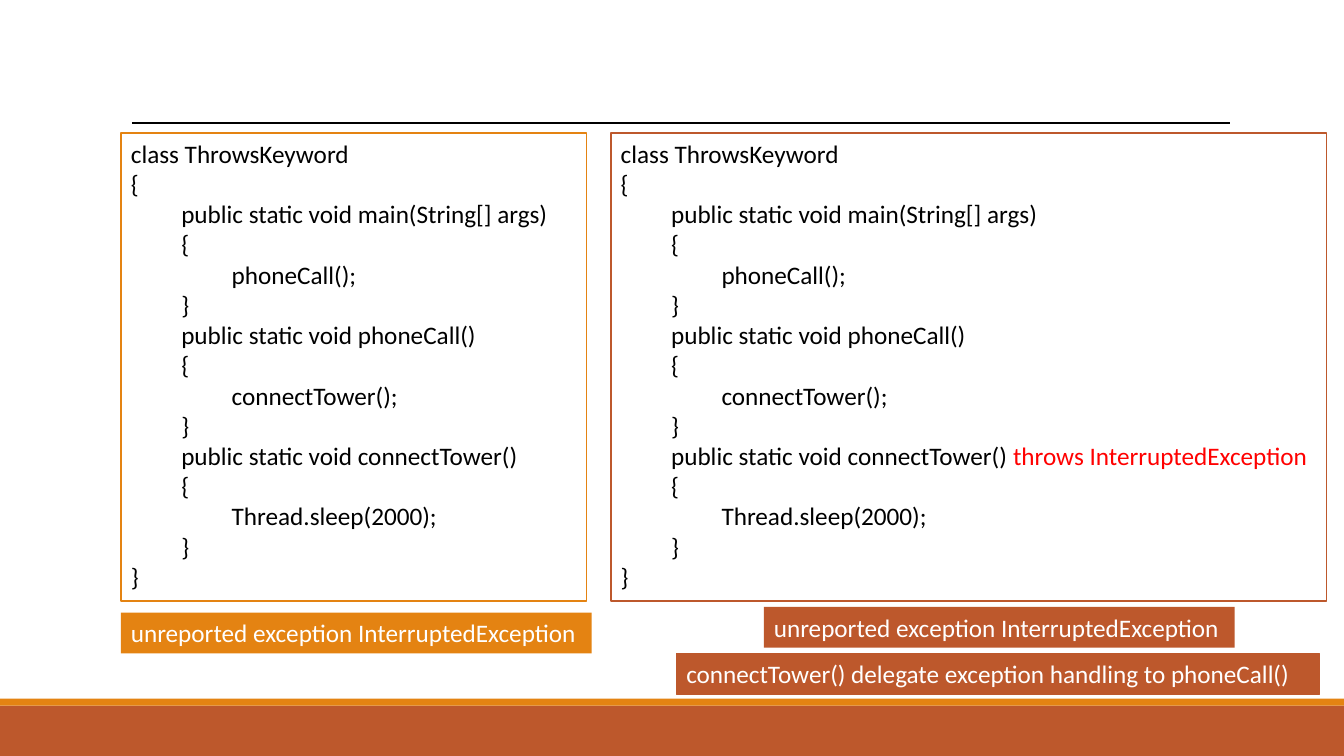
from pptx import Presentation
from pptx.dml.color import RGBColor as Rgb
from pptx.enum.shapes import MSO_CONNECTOR as Conn, MSO_SHAPE as Kind
from pptx.enum.text import MSO_ANCHOR as Anchor, PP_ALIGN as Align
from pptx.oxml.ns import qn
from pptx.util import Pt
from lxml.etree import SubElement as Sub

WIDE, HIGH = 960, 540
TAB = 36
HUES = {"gold": "E48312", "rust": "BD582C", "white": "FFFFFF",
        "black": "000000", "red": "FF0000"}
FONT = {"size": Pt(18), "name": "Calibri"}
FRAME = {"word_wrap": True, "vertical_anchor": Anchor.TOP,
         "margin_left": Pt(7.2), "margin_right": Pt(7.2),
         "margin_top": Pt(3.6), "margin_bottom": Pt(3.6)}
CODE = """class ThrowsKeyword
{
\tpublic static void main(String[] args)
\t{
\t\tphoneCall();
\t}
\tpublic static void phoneCall()
\t{
\t\tconnectTower();
\t}
\tpublic static void connectTower()
\t{
\t\tThread.sleep(2000);
\t}
}"""
CLAUSE = "throws InterruptedException"
HEAD = "connectTower()"
ERROR = "unreported exception InterruptedException"
NOTE = "connectTower() delegate exception handling to phoneCall()"


def hue(name):
    return Rgb.from_string(HUES[name])


def assign(item, values):
    for key, value in values.items():
        setattr(item, key, value)


def add_box(slide, box, fill, edge=None, weight=1.25):
    shape = slide.shapes.add_shape(Kind.RECTANGLE, *map(Pt, box))
    shape.shadow.inherit = False
    shape.fill.solid()
    shape.fill.fore_color.rgb = hue(fill)
    if edge:
        shape.line.color.rgb = hue(edge)
        shape.line.width = Pt(weight)
    else:
        shape.line.fill.background()
    assign(shape.text_frame, FRAME)
    return shape


def add_run(para, text, color):
    run = para.add_run()
    run.text = text
    assign(run.font, FONT)
    run.font.color.rgb = hue(color)


def add_tabs(para):
    stops = Sub(para._p.get_or_add_pPr(), qn("a:tabLst"))
    for level in (1, 2):
        Sub(stops, qn("a:tab"), pos=str(Pt(TAB * level)), algn="l")


def code_panel(slide, box, edge, clause=""):
    frame = add_box(slide, box, "white", edge).text_frame
    for row, text in enumerate(CODE.split("\n")):
        para = frame.add_paragraph() if row else frame.paragraphs[0]
        para.alignment = Align.LEFT
        add_tabs(para)
        if clause and text.endswith(HEAD):
            add_run(para, text + " ", "black")
            add_run(para, clause, "red")
        else:
            add_run(para, text, "black")


def label(slide, box, text, fill, edge=None):
    shape = add_box(slide, box, fill, edge, 0.75)
    para = shape.text_frame.paragraphs[0]
    para.alignment = Align.LEFT
    add_run(para, text, "white")


def backdrop(slide, box):
    left, top, width, height = box
    base = top + height - 36
    add_box(slide, (left, base, width, 36), "rust")
    add_box(slide, (left, base - 5, width, 5), "gold")
    rule = slide.shapes.add_connector(
        Conn.STRAIGHT, Pt(left + 94.2), Pt(top + 87.9),
        Pt(left + 878.8), Pt(top + 87.9))
    rule.line.color.rgb = hue("black")
    rule.line.width = Pt(1)
    Sub(rule._element.spPr, qn("a:effectLst"))


def before(slide, box):
    left, top, width, height = box
    code_panel(slide, box, "gold")
    label(slide, (left, top + height + 8.5, 336.3, 29.1), ERROR, "gold")


def after(slide, box):
    left, top, width, height = box
    base = top + height
    code_panel(slide, box, "rust", CLAUSE)
    label(slide, (left + 109.4, base + 4.4, 336.3, 29.1), ERROR, "rust")
    label(slide, (left + 46.8, base + 37.6, 459.4, 29.1), NOTE, "rust", "rust")


def main():
    deck = Presentation()
    deck.slide_width, deck.slide_height = Pt(WIDE), Pt(HIGH)
    slide = deck.slides.add_slide(deck.slide_layouts[6])
    backdrop(slide, (0, 0, WIDE, HIGH))
    before(slide, (86.4, 95, 332.6, 334.1))
    after(slide, (436.3, 95, 511.2, 334.1))
    deck.save("out.pptx")


if __name__ == "__main__":
    main()
